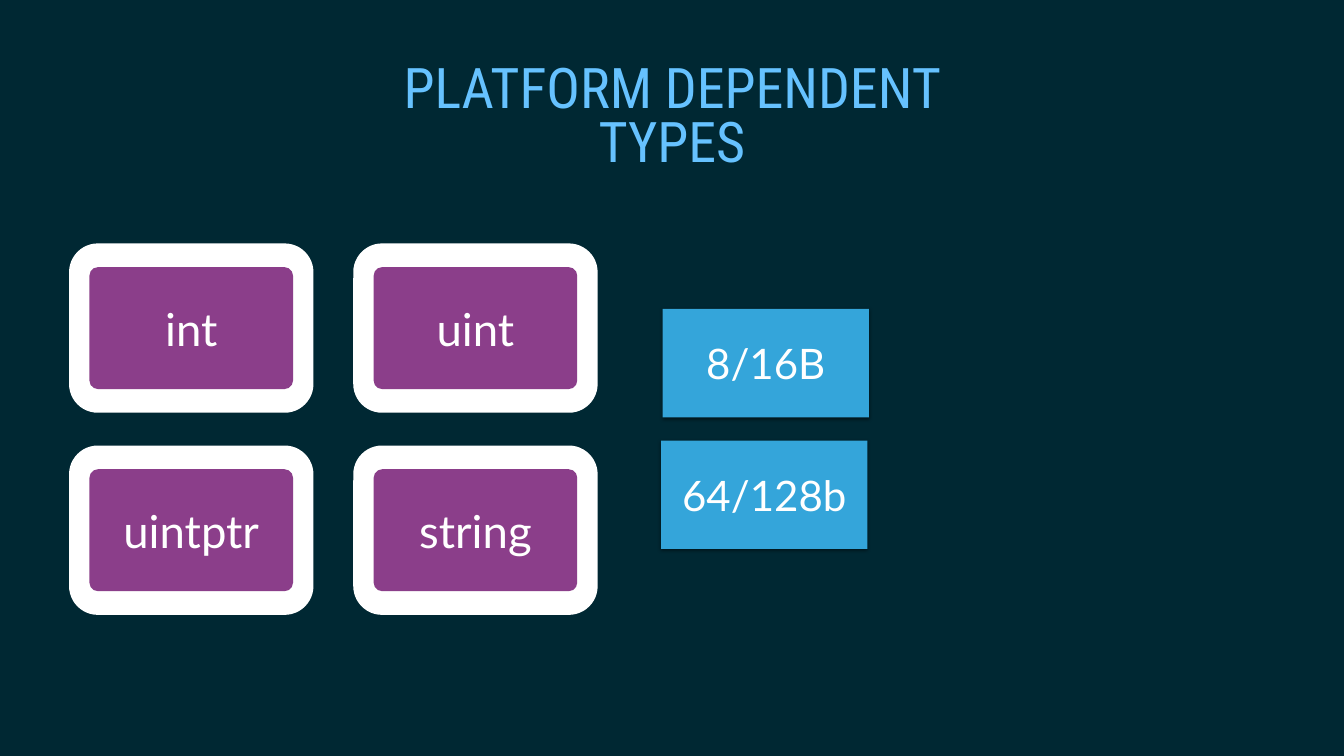
import pptx
import pptx.dml.color
import pptx.enum.shapes
import pptx.enum.text
import pptx.oxml
import pptx.oxml.ns
import pptx.util

SLIDE_WIDTH, SLIDE_HEIGHT = 26.67, 15
WHITE, PURPLE, BLUE = "FFFFFF", "771D76", "34A5DA"
SHAPES = pptx.enum.shapes.MSO_SHAPE
ANCHORS = pptx.enum.text.MSO_ANCHOR

CARD_LEFT, CARD_TOP = 1.37, 4.83
CARD_WIDTH, CARD_HEIGHT = 4.85, 3.36
COLUMN_STEP, ROW_STEP = 5.64, 4.01
PANEL_WIDTH, PANEL_HEIGHT = 4.04, 2.42
SIZE_WIDTH, SIZE_HEIGHT = 4.09, 2.15

# Rows of (type name, label width)
TYPE_ROWS = [
    [("int", 2.09), ("uint", 2.72)],
    [("uintptr", 4.61), ("string", 3.98)],
]
# (text, left, top)
SIZES = [("8/16B", 13.15, 6.13), ("64/128b", 13.12, 8.74)]


def color(value):
    return pptx.dml.color.RGBColor.from_string(value)


def inches(*lengths):
    return [pptx.util.Inches(length) for length in lengths]


def centered(outer, width, height):
    """Return a box of the given size in the middle of the outer box."""
    left, top, outer_width, outer_height = outer
    return (left + (outer_width - width) / 2,
            top + (outer_height - height) / 2, width, height)


def write_text(shape, text, *, size, font="Lato", fill=WHITE,
               anchor=ANCHORS.MIDDLE, line_spacing=None):
    frame = shape.text_frame
    frame.word_wrap = True
    frame.auto_size = pptx.enum.text.MSO_AUTO_SIZE.NONE
    frame.vertical_anchor = anchor
    inset = pptx.util.Inches(0.08)
    frame.margin_left = frame.margin_right = inset
    frame.margin_top = frame.margin_bottom = inset
    paragraph = frame.paragraphs[0]
    paragraph.text = text
    paragraph.alignment = pptx.enum.text.PP_ALIGN.CENTER
    paragraph.line_spacing = line_spacing
    paragraph.space_before = pptx.util.Pt(0)
    paragraph.font.name = font
    paragraph.font.size = pptx.util.Pt(size)
    paragraph.font.bold = False
    paragraph.font.color.rgb = color(fill)


def add_block(group, kind, box, fill, radius=None, opacity=None):
    shape = group.shapes.add_shape(kind, *inches(*box))
    shape.shadow.inherit = False
    shape.fill.solid()
    shape.fill.fore_color.rgb = color(fill)
    shape.line.fill.background()
    if radius is not None:
        shape.adjustments[0] = radius
    if opacity is not None:
        rgb = shape.fill._xPr.find(".//" + pptx.oxml.ns.qn("a:srgbClr"))
        rgb.append(pptx.oxml.parse_xml(
            f'<a:alpha {pptx.oxml.ns.nsdecls("a")} val="{opacity * 1000}"/>'))
    return shape


def add_drop_shadow(shape):
    effects = shape._element.spPr.find(pptx.oxml.ns.qn("a:effectLst"))
    effects.append(pptx.oxml.parse_xml(
        f'<a:outerShdw {pptx.oxml.ns.nsdecls("a")} blurRad="63500" '
        'dist="25400" dir="5400000" rotWithShape="0">'
        '<a:srgbClr val="000000"><a:alpha val="50000"/></a:srgbClr>'
        '</a:outerShdw>'))


def add_label(group, text, box, size):
    write_text(group.shapes.add_textbox(*inches(*box)), text, size=size)


def add_type_card(slide, name, label_width, column, row):
    group = slide.shapes.add_group_shape()
    card = (CARD_LEFT + column * COLUMN_STEP, CARD_TOP + row * ROW_STEP,
            CARD_WIDTH, CARD_HEIGHT)
    panel = centered(card, PANEL_WIDTH, PANEL_HEIGHT)
    add_block(group, SHAPES.ROUNDED_RECTANGLE, card, WHITE, radius=0.17)
    add_block(group, SHAPES.ROUNDED_RECTANGLE, panel, PURPLE,
              radius=0.07, opacity=85)
    add_label(group, name, centered(card, label_width, 1.61), 65)


def add_size_box(slide, text, left, top):
    group = slide.shapes.add_group_shape()
    box = (left, top, SIZE_WIDTH, SIZE_HEIGHT)
    add_drop_shadow(add_block(group, SHAPES.RECTANGLE, box, BLUE))
    add_label(group, text, centered(box, 3.98, 1.47), 60)


def add_title(slide, text):
    title = slide.shapes.title
    title.left, title.top, title.width, title.height = inches(
        (SLIDE_WIDTH - 12.87) / 2, 1.22, 12.87, 1.41)
    write_text(title, text, size=80, font="Roboto Condensed", fill="66C2FF",
               anchor=ANCHORS.TOP, line_spacing=0.8)


def main():
    presentation = pptx.Presentation()
    presentation.slide_width, presentation.slide_height = inches(
        SLIDE_WIDTH, SLIDE_HEIGHT)
    slide = presentation.slides.add_slide(presentation.slide_layouts[5])
    slide.background.fill.solid()
    slide.background.fill.fore_color.rgb = color("002833")

    add_title(slide, "PLATFORM DEPENDENT TYPES")
    for row, types in enumerate(TYPE_ROWS):
        for column, (name, label_width) in enumerate(types):
            add_type_card(slide, name, label_width, column, row)
    for text, left, top in SIZES:
        add_size_box(slide, text, left, top)
    presentation.save("out.pptx")


if __name__ == "__main__":
    main()
